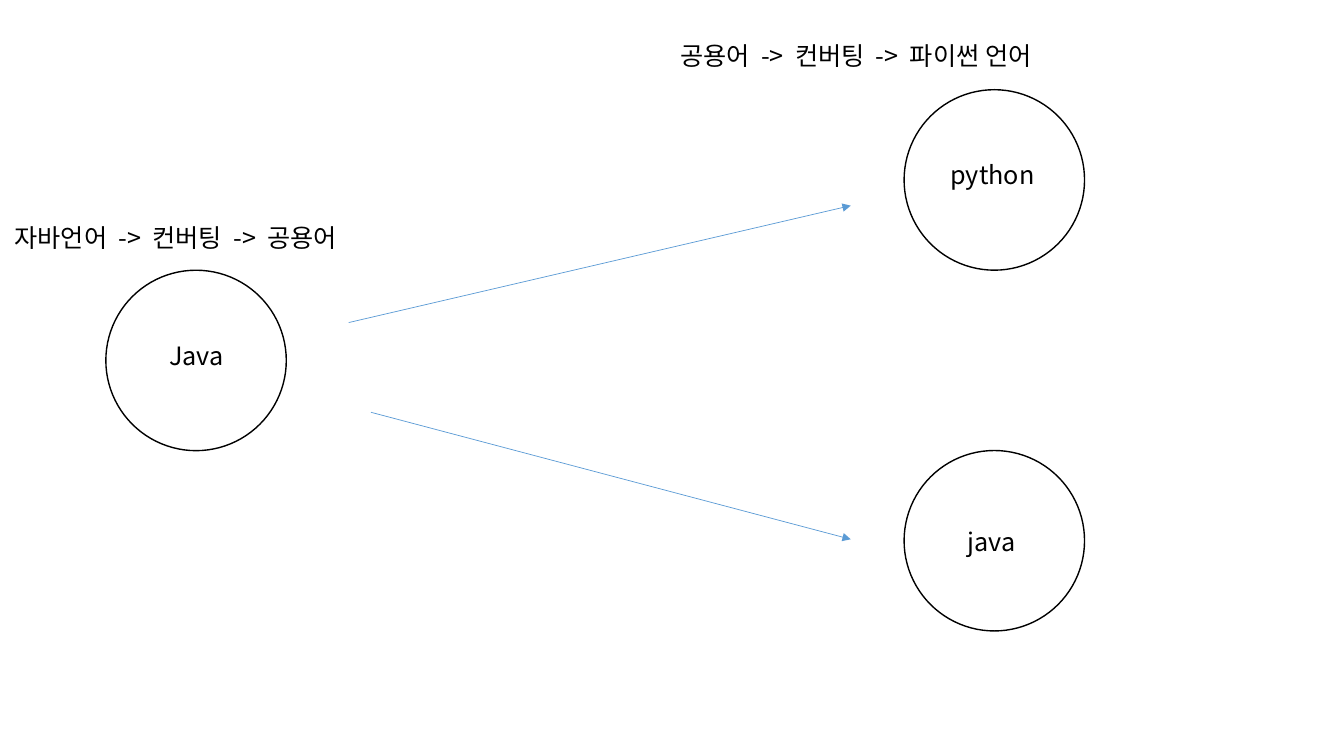
"""Build a slide showing Java messages converted to a common language for two receivers."""
from lxml import etree
from pptx import Presentation
from pptx.dml.color import RGBColor
from pptx.enum import shapes
from pptx.oxml import ns
from pptx.util import Pt

COLORS = {"ink": "000000", "paper": "FFFFFF", "arrow": "5B9BD5"}
FONT = "Noto Sans CJK KR"
DIAMETER = 128.9
LABEL_HEIGHT = 28.8
CIRCLES = [(75.6, 193), (645.8, 64.1), (645.8, 321.8)]
LABELS = [
    ("Java", 113.8, 239.8, 53.3),
    ("python", 671.8, 110.2, 78.5),
    ("java", 684, 372.2, 53.3),
    ("자바언어  ->  컨버팅  ->  공용어", 3.3, 155.5, 292.3),
    ("공용어  ->  컨버팅  ->  파이썬 언어", 478.8, 25.2, 295.9),
]
ARROWS = [((249.1, 230.4), (607.7, 146.9)), ((265, 294.5), (607.7, 385.2))]


def color(name):
    return RGBColor.from_string(COLORS[name])


def add_circle(slide, left, top):
    circle = slide.shapes.add_shape(
        shapes.MSO_SHAPE.OVAL, Pt(left), Pt(top), Pt(DIAMETER), Pt(DIAMETER))
    circle.shadow.inherit = False
    circle.fill.solid()
    circle.fill.fore_color.rgb = color("paper")
    circle.line.color.rgb = color("ink")
    circle.line.width = Pt(1)


def add_label(slide, content, left, top, width, size=18, ink="ink"):
    box = slide.shapes.add_textbox(Pt(left), Pt(top), Pt(width), Pt(LABEL_HEIGHT))
    box.text_frame.word_wrap = True
    span = box.text_frame.paragraphs[0].add_run()
    span.text = content
    span.font.size = Pt(size)
    span.font.name = FONT
    span.font.color.rgb = color(ink)
    etree.SubElement(span.font._element, ns.qn("a:ea"), typeface=FONT)


def add_arrow(slide, start, end):
    arrow = slide.shapes.add_connector(
        shapes.MSO_CONNECTOR.STRAIGHT, *map(Pt, start + end))
    arrow.line.color.rgb = color("arrow")
    arrow.line.width = Pt(0.5)
    outline = arrow.line._get_or_add_ln()
    etree.SubElement(outline, ns.qn("a:tailEnd"), type="triangle")
    etree.SubElement(arrow._element.spPr, ns.qn("a:effectLst"))


deck = Presentation()
deck.slide_width, deck.slide_height = Pt(960), Pt(540)
slide = deck.slides.add_slide(deck.slide_layouts[6])
for circle in CIRCLES:
    add_circle(slide, *circle)
for label in LABELS:
    add_label(slide, *label)
for arrow in ARROWS:
    add_arrow(slide, *arrow)
deck.save("out.pptx")
